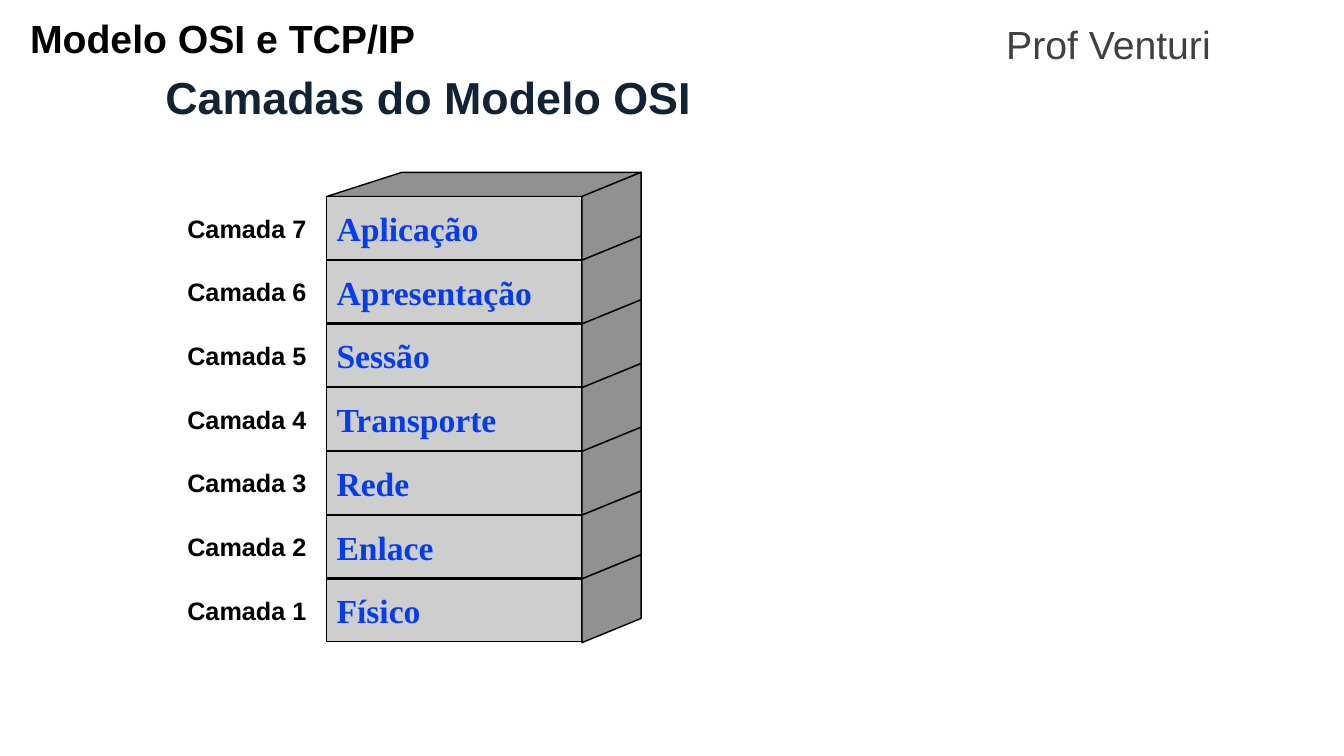
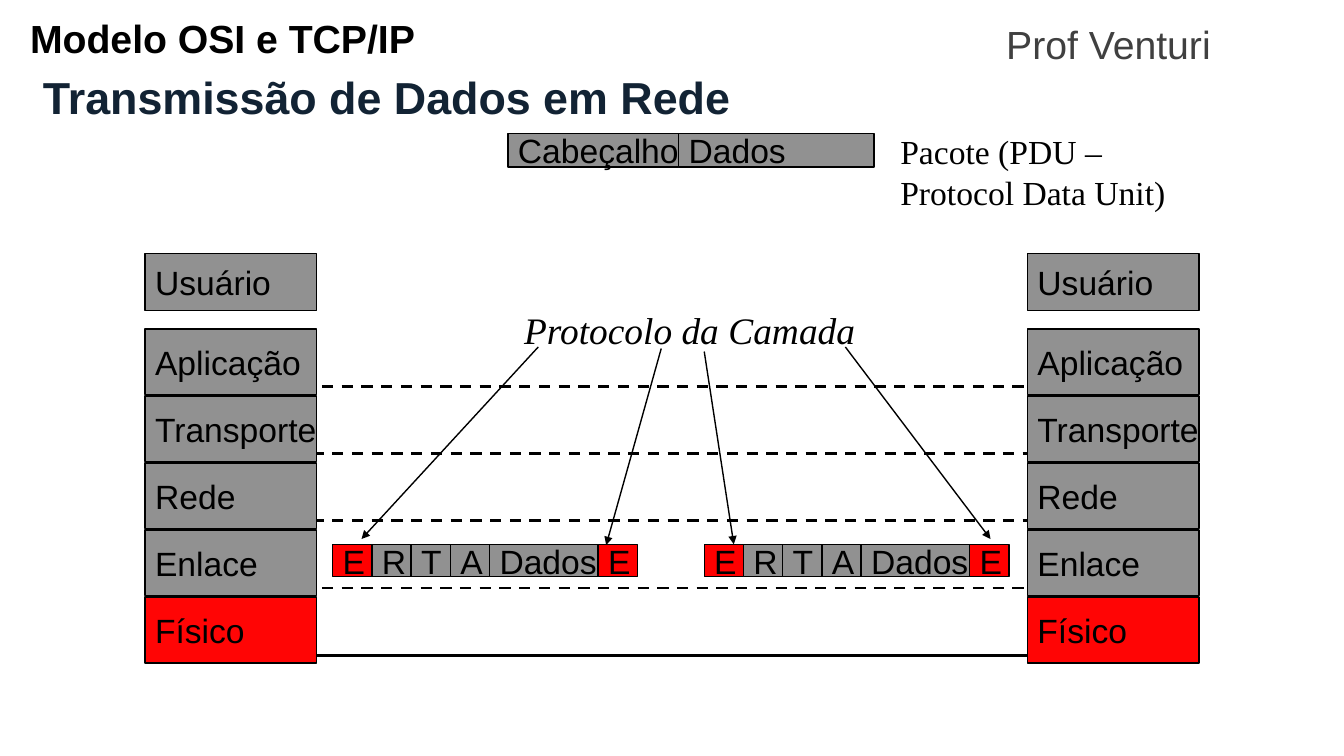
from lxml.etree import SubElement
from pptx import Presentation
from pptx.dml.color import RGBColor
from pptx.enum.dml import MSO_LINE
from pptx.enum.shapes import MSO_CONNECTOR, MSO_SHAPE
from pptx.enum.text import MSO_ANCHOR, MSO_AUTO_SIZE, PP_ALIGN
from pptx.oxml.ns import qn
from pptx.util import Inches, Pt

# Shared look; all lengths are percent of the slide's width or height
WIDE, HIGH = 13.33, 7.5
BLACK, NAVY, SMOKE, BLUE = "000000", "122334", "404040", "063DE8"
GRAY, PALE, RED, FLAME = "919191", "CECECE", "FF0505", "FF0000"
SANS, SERIF = "Arial", "Times New Roman"


def col(share):
    return Inches(WIDE * share / 100)


def row(share):
    return Inches(HIGH * share / 100)


def area(x, y, w, h):
    return col(x), row(y), col(w), row(h)


def hue(code):
    return RGBColor.from_string(code)


def write(shape, text, size, color=BLACK, face=SANS, bold=False,
          italic=False, align=PP_ALIGN.LEFT, wrap=False,
          anchor=MSO_ANCHOR.TOP):
    frame = shape.text_frame
    frame.auto_size = MSO_AUTO_SIZE.NONE
    frame.word_wrap = wrap
    frame.vertical_anchor = anchor
    frame.text = text
    para = frame.paragraphs[0]
    para.alignment = align
    font = para.font
    font.name, font.size = face, Pt(size)
    font.bold, font.italic = bold, italic
    font.color.rgb = hue(color)
    return para


def label(slide, text, place, size, **style):
    return write(slide.shapes.add_textbox(*area(*place)), text, size, **style)


def paint(shape, fill):
    shape.shadow.inherit = False
    shape.fill.solid()
    shape.fill.fore_color.rgb = hue(fill)
    shape.line.color.rgb = hue(BLACK)
    shape.line.width = Pt(1)


def box(slide, text, place, fill=GRAY, **style):
    shape = slide.shapes.add_shape(MSO_SHAPE.RECTANGLE, *area(*place))
    paint(shape, fill)
    write(shape, text, 24, anchor=MSO_ANCHOR.MIDDLE, **style)


def face(slide, *points):
    first, *rest = [(col(x), row(y)) for x, y in points]
    pen = slide.shapes.build_freeform(*first)
    pen.add_line_segments(rest, close=True)
    paint(pen.convert_to_shape(), GRAY)


def link(slide, start, end, width=1, dash=False, arrow=False):
    wire = slide.shapes.add_connector(
        MSO_CONNECTOR.STRAIGHT, col(start[0]), row(start[1]),
        col(end[0]), row(end[1]))
    wire.line.color.rgb = hue(BLACK)
    wire.line.width = Pt(width)
    if dash:
        wire.line.dash_style = MSO_LINE.DASH
    props = wire._element.spPr
    if arrow:
        SubElement(props.find(qn("a:ln")), qn("a:tailEnd"), type="triangle")
    SubElement(props, qn("a:effectLst"))


def start(deck, title, place):
    """Add a slide with the shared header and a title."""
    slide = deck.slides.add_slide(deck.slide_layouts[5])
    head = label(slide, "Modelo OSI e TCP/IP", (1.5, 2, 38, 8.1), 28,
                 bold=True, wrap=True)
    head.line_spacing = 0.9
    label(slide, "Prof Venturi", (69.8, 2, 25.35, 6.7), 28, color=SMOKE,
          align=PP_ALIGN.CENTER, wrap=True)
    name = slide.shapes.title
    name.left, name.top, name.width, name.height = area(*place)
    write(name, title, 32, color=NAVY, bold=True, align=PP_ALIGN.CENTER,
          wrap=True, anchor=MSO_ANCHOR.MIDDLE)
    return slide


def tower(slide):
    """Draw the seven layers as a block with depth."""
    names = ["Aplicação", "Apresentação", "Sessão", "Transporte",
             "Rede", "Enlace", "Físico"]
    left, right, top, step = 24.3, 43.3, 26, 8.43
    back, rise = right + 4.4, 3.2
    face(slide, (left, top), (29.9, top - rise), (back, top - rise),
         (right, top))
    for i, name in enumerate(names):
        y = top + i * step
        box(slide, name, (left, y, right - left, 8.3), PALE,
            color=BLUE, face=SERIF, bold=True)
        face(slide, (right, y), (back, y - rise), (back, y + step - rise),
             (right, y + step))
        label(slide, f"Camada {len(names) - i}", (13.2, y + 1.5, 10.5, 5.3),
              18, bold=True)


def host(slide, x):
    """Draw one end of the network."""
    box(slide, "Usuário", (x, 33.5, 12.75, 7.6))
    names = ["Aplicação", "Transporte", "Rede", "Enlace", "Físico"]
    for i, name in enumerate(names):
        box(slide, name, (x, 43.5 + i * 8.87, 12.75, 8.7),
            RED if name == "Físico" else GRAY)


def strip(slide, x, y, high, cells):
    """Draw packet fields side by side."""
    for name, wide in cells:
        box(slide, name, (x, y, wide, high), FLAME if name == "E" else GRAY)
        x += wide


def main():
    deck = Presentation()
    deck.slide_width, deck.slide_height = Inches(WIDE), Inches(HIGH)

    # Layers of the model
    tower(start(deck, "Camadas do Modelo OSI", (0, 8.9, 63.75, 7.7)))

    # Data on its way: lines first, so that the hosts cover their ends
    slide = start(deck, "Transmissão de Dados em Rede", (-0.3, 8.7, 58.2, 8.1))
    for i, shift in enumerate([0.7, 0, 0, 0.7, 0]):
        y = 51.1 + i * 8.89
        link(slide, (23.25 + shift, y), (76.4 + shift, y), 2, dash=i < 4)
    for x in (10.8, 76.45):
        host(slide, x)

    # Packets
    strip(slide, 37.8, 17.7, 4.4, [("Cabeçalho", 12.7), ("Dados", 14.55)])
    label(slide, "Pacote (PDU – Protocol Data Unit)",
          (66.25, 16.7, 24.4, 12.1), 24, face=SERIF, wrap=True)
    cells = [(name, 2.92) for name in "ERTA"] + [("Dados", 8.07), ("E", 2.92)]
    for x in (24.75, 52.4):
        strip(slide, x, 72, 4.3, cells)

    # Protocol and its arrows
    label(slide, "Protocolo da Camada", (38.25, 40, 26.3, 7.3), 26.7,
          face=SERIF, italic=True)
    for tail, tip in [((40.05, 45.9), (26.9, 71.3)),
                      ((49.2, 46.1), (45.1, 72.1)),
                      ((52.4, 46.5), (54.6, 72)),
                      ((62.9, 45.9), (73.7, 71.3))]:
        link(slide, tail, tip, arrow=True)

    deck.save("out.pptx")


if __name__ == "__main__":
    main()
